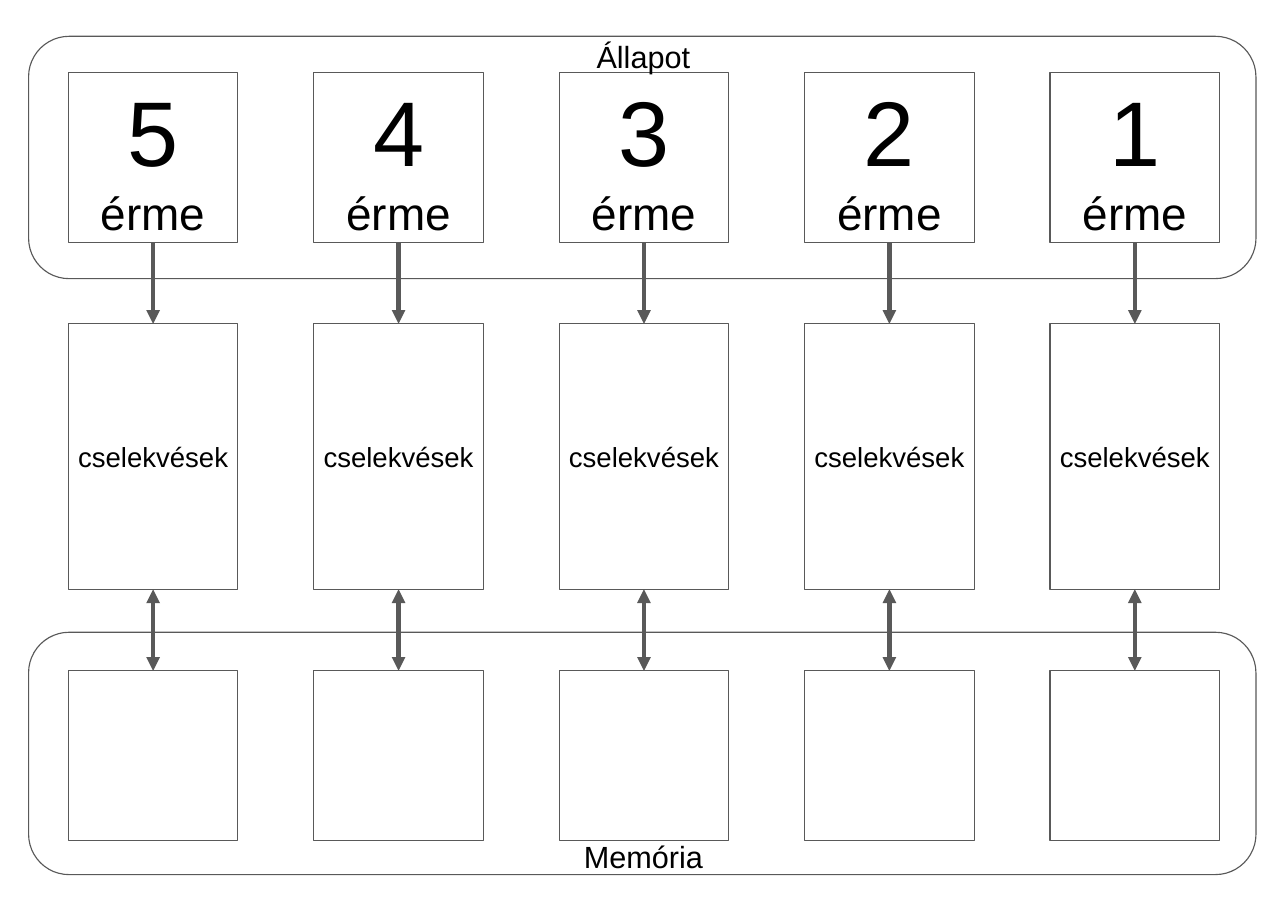
import pptx
import pptx.dml.color
import pptx.enum.shapes
import pptx.enum.text
import pptx.oxml
import pptx.oxml.ns
import pptx.util

Inches = pptx.util.Inches
Pt = pptx.util.Pt
Kind = pptx.enum.shapes.MSO_SHAPE
Anchor = pptx.enum.text.MSO_ANCHOR
GREY, BLACK, WHITE = "595959", "000000", "FFFFFF"
WIDE, HIGH = 11.69, 8.27
SIDE, GAP = 1.54, 0.74
COINS = range(5, 0, -1)


def tint(code):
    """Return the colour for a hex string."""
    return pptx.dml.color.RGBColor.from_string(code)


def write(shape, text, sizes=(18,), pad=0.1, anchor=Anchor.MIDDLE):
    """Fill a shape with centred lines, one size for each line."""
    frame = shape.text_frame
    frame.word_wrap = True
    frame.vertical_anchor = anchor
    frame.margin_left = frame.margin_right = Inches(pad)
    frame.margin_top = frame.margin_bottom = Inches(0.1)
    for row, (line, size) in enumerate(zip(text.split("\n"), sizes)):
        para = frame.add_paragraph() if row else frame.paragraphs[0]
        para.alignment = pptx.enum.text.PP_ALIGN.CENTER
        run = para.add_run()
        run.text = line
        run.font.name = "Arial"
        run.font.size = Pt(size)
        run.font.color.rgb = tint(BLACK)


def block(slide, box, kind=Kind.RECTANGLE, fill=WHITE):
    """Draw a thinly outlined shape in its box."""
    shape = slide.shapes.add_shape(kind, *map(Inches, box))
    shape.shadow.inherit = False
    if fill:
        shape.fill.solid()
        shape.fill.fore_color.rgb = tint(fill)
    else:
        shape.fill.background()
    shape.line.color.rgb = tint(GREY)
    shape.line.width = Pt(0.75)
    return shape


def arrow(slide, top, low, ends):
    """Join two stacked blocks with arrowheads at the named ends."""
    link = slide.shapes.add_connector(
        pptx.enum.shapes.MSO_CONNECTOR.STRAIGHT, 0, 0, 0, 0)
    link.begin_connect(top, 2)
    link.end_connect(low, 0)
    link.line.color.rgb = tint(GREY)
    link.line.width = Pt(3)
    line = link.line._get_or_add_ln()
    for end in ends:
        head = pptx.oxml.parse_xml(
            f'<a:{end} {pptx.oxml.ns.nsdecls("a")} type="triangle"/>')
        line.append(head)
    link._element.spPr.append(pptx.oxml.parse_xml(
        f'<a:effectLst {pptx.oxml.ns.nsdecls("a")}/>'))


def column(slide, box, coin):
    """Stack the state, action and memory blocks of one coin count."""
    left, top, width, height = box
    middle = height - 2 * (SIDE + GAP)
    state = block(slide, (left, top, width, SIDE))
    write(state, f"{coin}\nérme", sizes=(60, 30))
    act = block(slide, (left, top + SIDE + GAP, width, middle))
    write(act, "cselekvések", pad=0.06)
    store = block(slide, (left, top + height - SIDE, width, SIDE))
    arrow(slide, state, act, ["tailEnd"])
    arrow(slide, act, store, ["headEnd", "tailEnd"])


def grid(slide, box):
    """Spread one column for each coin count evenly over the box."""
    left, top, width, height = box
    step = (width - SIDE) / (len(COINS) - 1)
    for spot, coin in enumerate(COINS):
        column(slide, (left + spot * step, top, SIDE, height), coin)


def band(slide, box, title, drop):
    """Frame a row of blocks, its title set the given drop below the top."""
    left, top, width, height = box
    frame = block(slide, box, Kind.ROUNDED_RECTANGLE, None)
    frame.adjustments[0] = 0.167
    label = slide.shapes.add_textbox(
        *map(Inches, (left + 0.36, top + drop, width - 0.7, 0.54)))
    write(label, title, sizes=(20,), anchor=Anchor.TOP)
    label.text_frame.auto_size = pptx.enum.text.MSO_AUTO_SIZE.SHAPE_TO_FIT_TEXT


def main():
    """Build and save the slide."""
    deck = pptx.Presentation()
    deck.slide_width, deck.slide_height = Inches(WIDE), Inches(HIGH)
    slide = deck.slides.add_slide(deck.slide_layouts[6])
    grid(slide, (0.62, 0.66, 10.45, 6.97))
    band(slide, (0.26, 0.33, 11.14, 2.2), "Állapot", -0.09)
    band(slide, (0.26, 5.74, 11.14, 2.2), "Memória", 1.77)
    deck.save("out.pptx")


if __name__ == "__main__":
    main()
